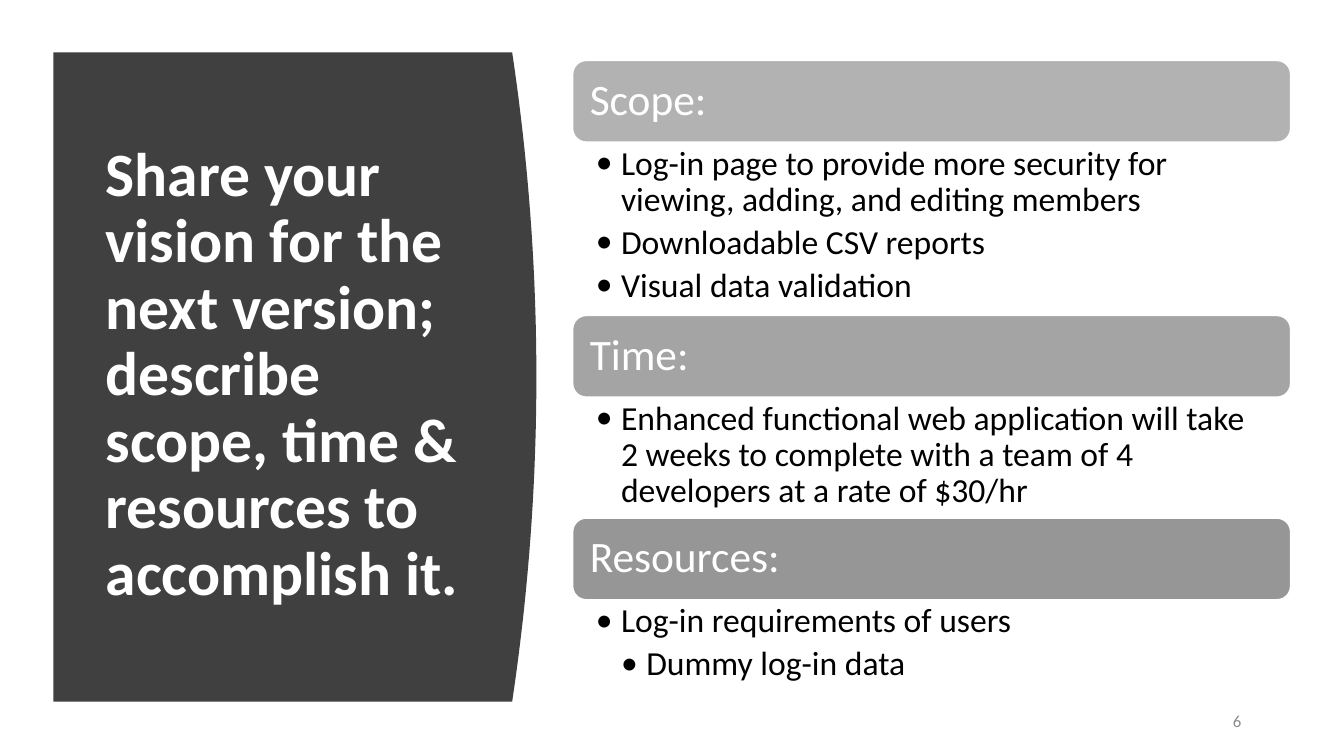
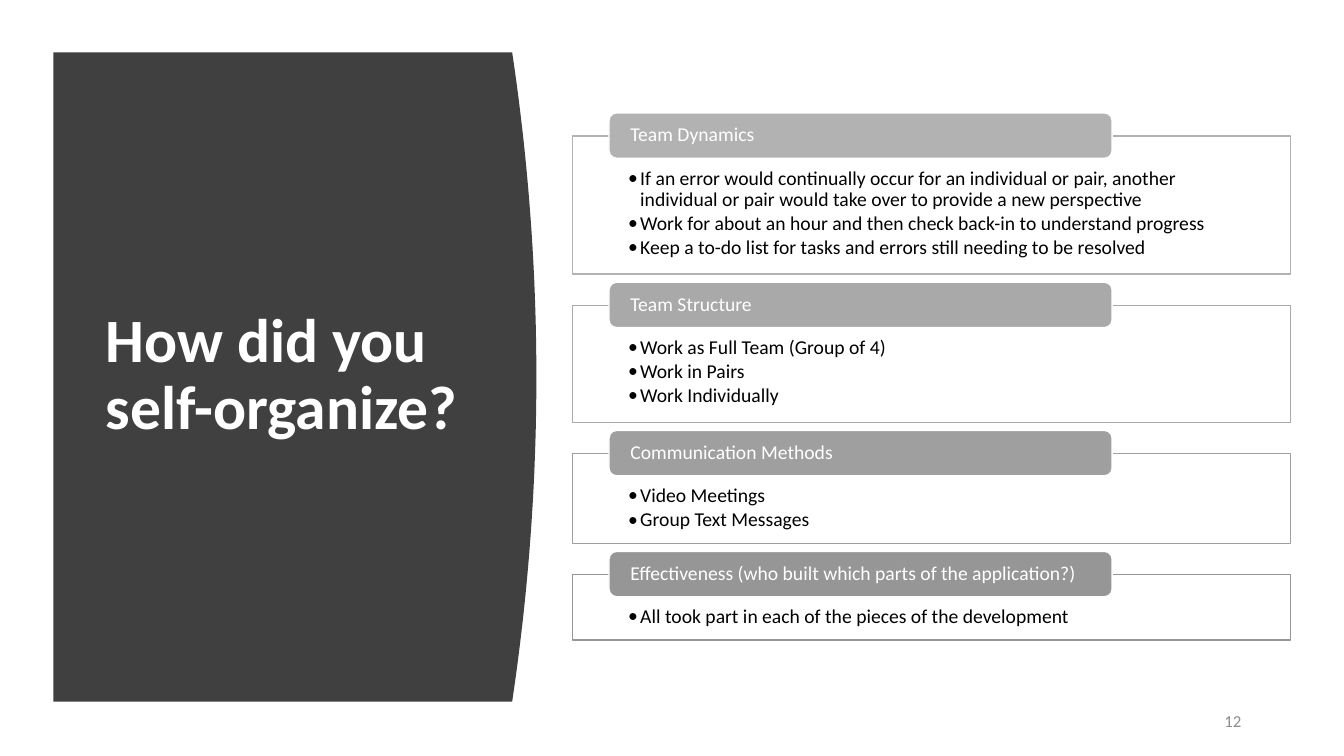
import pptx
import pptx.util
import pptx.dml.color
import pptx.enum.shapes
import pptx.enum.text
import pptx.oxml.ns
import lxml.etree

Inches = pptx.util.Inches
Pt = pptx.util.Pt
RGBColor = pptx.dml.color.RGBColor
MSO_SHAPE = pptx.enum.shapes.MSO_SHAPE
ANCHOR = pptx.enum.text.MSO_ANCHOR
ALIGN = pptx.enum.text.PP_ALIGN

# Shared style
FONT = "Calibri"
WHITE = RGBColor(0xFF, 0xFF, 0xFF)
BLACK = RGBColor(0x00, 0x00, 0x00)
PANEL_GRAY = RGBColor(0x40, 0x40, 0x40)
NUMBER_GRAY = RGBColor(0x8C, 0x8C, 0x8C)
GRAY_1 = RGBColor(0xB2, 0xB2, 0xB2)
GRAY_2 = RGBColor(0xA9, 0xA9, 0xA9)
GRAY_3 = RGBColor(0xA4, 0xA4, 0xA4)
GRAY_4 = RGBColor(0x9F, 0x9F, 0x9F)
GRAY_5 = RGBColor(0x96, 0x96, 0x96)

# Shared layout, in inches
PANEL_LEFT, PANEL_TOP, PANEL_BOTTOM = 0.53, 0.52, 6.96
PANEL_EDGE, PANEL_BULGE = 5.08, 0.24
LIST_LEFT, LIST_WIDTH = 5.68, 7.12
BAR_HEIGHT = 0.81
TAB_LEFT, TAB_WIDTH, TAB_HEIGHT = 6.04, 4.99, 0.45
TAB_RISE, FRAME_GAP = 0.23, 0.31

# Slide content: heading, colour, height of the text, (level, text) items
VISION = [
    ("Scope:", GRAY_1, 1.72, [
        (1, "Log-in page to provide more security for viewing, adding, and editing members"),
        (1, "Downloadable CSV reports"),
        (1, "Visual data validation")]),
    ("Time:", GRAY_3, 1.2, [
        (1, "Enhanced functional web application will take 2 weeks to complete "
            "with a team of 4 developers at a rate of $30/hr")]),
    ("Resources:", GRAY_5, 0.91, [
        (1, "Log-in requirements of users"),
        (2, "Dummy log-in data")]),
]
ORGANIZATION = [
    ("Team Dynamics", GRAY_1, 1.37, [
        (1, "If an error would continually occur for an individual or pair, "
            "another individual or pair would take over to provide a new perspective"),
        (1, "Work for about an hour and then check back-in to understand progress"),
        (1, "Keep a to-do list for tasks and errors still needing to be resolved")]),
    ("Team Structure", GRAY_2, 1.16, [
        (1, "Work as Full Team (Group of 4)"),
        (1, "Work in Pairs"),
        (1, "Work Individually")]),
    ("Communication Methods", GRAY_4, 0.89, [
        (1, "Video Meetings"),
        (1, "Group Text Messages")]),
    ("Effectiveness (who built which parts of the application?)", GRAY_5, 0.65, [
        (1, "All took part in each of the pieces of the development")]),
]


def add_bullet(para, level, indent):
    """Give a paragraph a hanging bullet in the text font."""
    properties = para._p.get_or_add_pPr()
    properties.set("marL", str(Inches(level * indent)))
    properties.set("indent", str(Inches(-indent)))
    for tag, key, value in (("a:buFont", "typeface", FONT), ("a:buChar", "char", "•")):
        lxml.etree.SubElement(properties, pptx.oxml.ns.qn(tag)).set(key, value)


def write(box, items, size, color, bold=False, align=ALIGN.LEFT, anchor=ANCHOR.MIDDLE,
          insets=(0.1, 0.05, 0.1, 0.05), spacing=0.9, after=0, indent=None):
    """Fill a box with (level, text) paragraphs; an indent makes them bullets."""
    frame = box.text_frame
    frame.word_wrap = True
    frame.vertical_anchor = anchor
    (frame.margin_left, frame.margin_top,
     frame.margin_right, frame.margin_bottom) = map(Inches, insets)
    for index, (level, text) in enumerate(items):
        para = frame.add_paragraph() if index else frame.paragraphs[0]
        para.alignment = align
        para.line_spacing = spacing
        para.space_after = Pt(after)
        if indent:
            add_bullet(para, level, indent)
        span = para.add_run()
        span.text = text
        span.font.name = FONT
        span.font.size = Pt(size)
        span.font.bold = bold
        span.font.color.rgb = color


def add_text(page, left, top, width, height, items, size, color, **style):
    box = page.shapes.add_textbox(*map(Inches, (left, top, width, height)))
    write(box, items, size, color, **style)


def paint(shape, fill, line=None):
    shape.shadow.inherit = False
    shape.fill.solid()
    shape.fill.fore_color.rgb = fill
    if line is None:
        shape.line.fill.background()
    else:
        shape.line.color.rgb = line
        shape.line.width = Pt(1)


def add_block(page, kind, left, top, width, height, fill, line):
    shape = page.shapes.add_shape(kind, *map(Inches, (left, top, width, height)))
    paint(shape, fill, line)
    return shape


def add_panel(page):
    """Dark panel whose right edge is a shallow parabola."""
    steps = 40
    edge = []
    for step in range(steps + 1):
        t = step / steps
        edge.append((Inches(PANEL_EDGE + PANEL_BULGE * 4 * t * (1 - t)),
                     Inches(PANEL_TOP + (PANEL_BOTTOM - PANEL_TOP) * t)))
    builder = page.shapes.build_freeform(Inches(PANEL_LEFT), Inches(PANEL_TOP), scale=1.0)
    builder.add_line_segments(edge + [(Inches(PANEL_LEFT), Inches(PANEL_BOTTOM))], close=True)
    paint(builder.convert_to_shape(), PANEL_GRAY)


def add_page(deck, title, number):
    """Blank slide with the panel, title and slide number."""
    page = deck.slides.add_slide(deck.slide_layouts[6])
    add_panel(page)
    add_text(page, 0.95, 1.11, 3.74, 5.24, [(1, title)], 44, WHITE, bold=True)
    add_text(page, 11.72, 6.95, 0.69, 0.4, [(1, number)], 12, NUMBER_GRAY,
             align=ALIGN.RIGHT, spacing=1.0)
    return page


def add_bar_list(page, top, sections):
    """Full-width heading bars, each with its bullets below."""
    for heading, color, height, items in sections:
        bar = add_block(page, MSO_SHAPE.ROUNDED_RECTANGLE, LIST_LEFT, top,
                        LIST_WIDTH, BAR_HEIGHT, color, WHITE)
        write(bar, [(1, heading)], 31, WHITE, insets=(0.13,) * 4)
        top += BAR_HEIGHT
        add_text(page, LIST_LEFT, top, LIST_WIDTH, height, items, 24, BLACK,
                 anchor=ANCHOR.TOP, insets=(0.23, 0.04, 0.24, 0.04), after=4.8, indent=0.25)
        top += height


def add_frame_list(page, top, sections):
    """Outlined bullet frames, each with a heading tab over its top edge."""
    for heading, color, height, items in sections:
        frame = add_block(page, MSO_SHAPE.RECTANGLE, LIST_LEFT, top,
                          LIST_WIDTH, height, WHITE, color)
        write(frame, items, 14, BLACK, anchor=ANCHOR.TOP,
              insets=(0.55, 0.32, 0.55, 0.11), after=2.1, indent=0.12)
        tab = add_block(page, MSO_SHAPE.ROUNDED_RECTANGLE, TAB_LEFT, top - TAB_RISE,
                        TAB_WIDTH, TAB_HEIGHT, color, WHITE)
        write(tab, [(1, heading)], 14, WHITE, insets=(0.19, 0, 0.19, 0))
        top += height + FRAME_GAP


def main():
    deck = pptx.Presentation()
    deck.slide_width, deck.slide_height = Inches(13.33), Inches(7.5)

    # Vision for the next version
    page = add_page(deck, "Share your vision for the next version; describe scope, "
                          "time & resources to accomplish it.", "6")
    add_bar_list(page, 0.6, VISION)

    # Team organization
    page = add_page(deck, "How did you self-organize?", "12")
    add_frame_list(page, 1.35, ORGANIZATION)

    deck.save("out.pptx")


if __name__ == "__main__":
    main()
